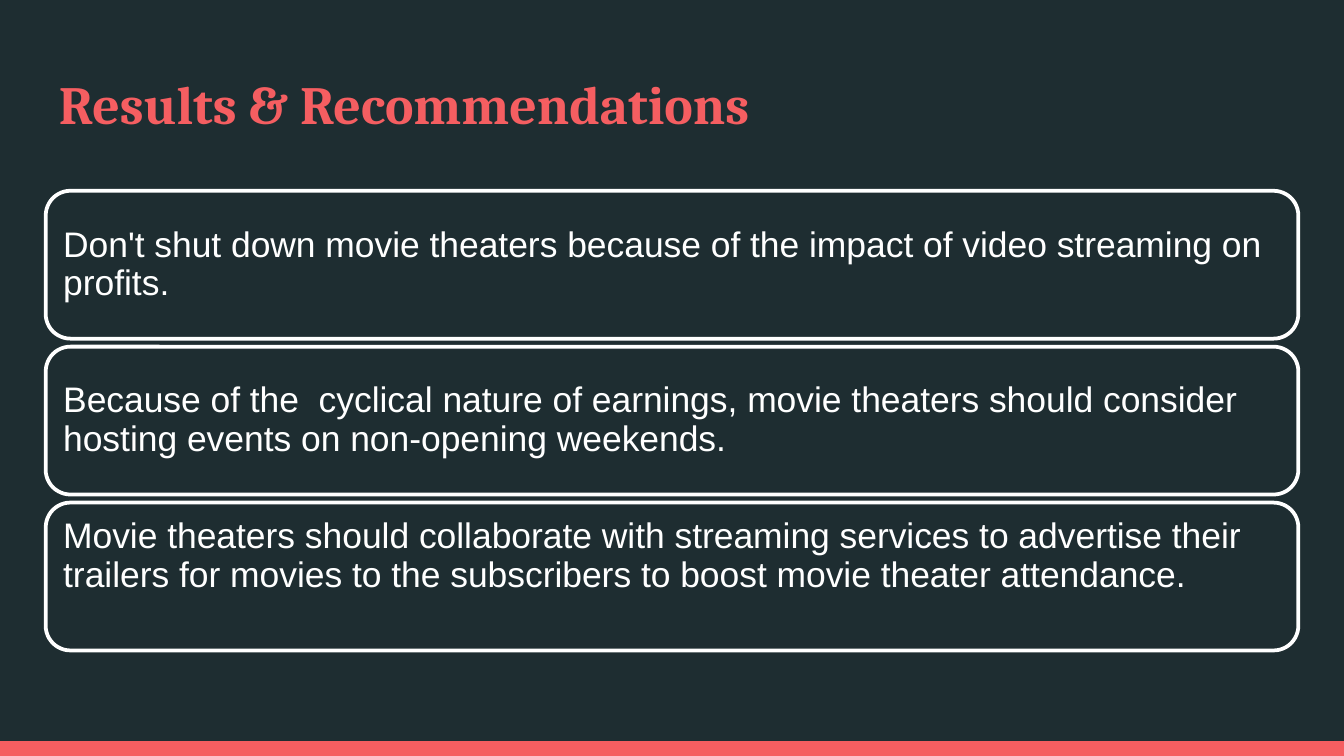
"""Build the results and recommendations slide."""
from pptx import Presentation
from pptx import util as u
from pptx.dml.color import RGBColor
from pptx.enum import shapes, text

NIGHT = RGBColor(0x1E, 0x2D, 0x31)
CORAL = RGBColor(0xF5, 0x5E, 0x61)
WHITE = RGBColor(0xFF, 0xFF, 0xFF)

WIDTH = 10
HEIGHT = WIDTH * 9 / 16
MARGIN = 0.34
CONTENT_WIDTH = WIDTH - 2 * MARGIN
FIRST_CARD, CARD_HEIGHT, CARD_GAP = 1.42, 1.1, 0.06
TEXT_INSET = 0.05
PADDING = 0.08
LIFTED_PADDING = PADDING + 0.3

RECOMMENDATIONS = [
    ("Don't shut down movie theaters because of the impact of video "
     "streaming on profits.", PADDING),
    ("Because of the  cyclical nature of earnings, movie theaters should "
     "consider hosting events on non-opening weekends.", PADDING),
    ("Movie theaters should collaborate with streaming services to advertise "
     "their trailers for movies to the subscribers to boost movie theater "
     "attendance.", LIFTED_PADDING),
]


def inches(*lengths):
    return [u.Inches(length) for length in lengths]


def add_block(slide, kind, box, fill):
    block = slide.shapes.add_shape(kind, *inches(*box))
    block.shadow.inherit = False
    block.fill.solid()
    block.fill.fore_color.rgb = fill
    block.line.fill.background()
    return block


def add_words(slide, words, box, size, font, color, padding, bold=False):
    frame = slide.shapes.add_textbox(*inches(*box)).text_frame
    frame.word_wrap = True
    frame.margin_left, frame.margin_right = inches(padding, padding)
    frame.margin_top, frame.margin_bottom = inches(padding, padding)
    frame.text = words
    style = frame.paragraphs[0].runs[0].font
    style.size, style.name, style.bold = u.Pt(size), font, bold
    style.color.rgb = color
    return frame


def add_recommendation(slide, row, words, bottom_padding):
    top = FIRST_CARD + row * (CARD_HEIGHT + CARD_GAP)
    card = add_block(slide, shapes.MSO_SHAPE.ROUNDED_RECTANGLE,
                     (MARGIN, top, CONTENT_WIDTH, CARD_HEIGHT), NIGHT)
    card.adjustments[0] = 0.167
    card.line.color.rgb = WHITE
    card.line.width = u.Pt(2)

    advice_box = (MARGIN + TEXT_INSET, top + TEXT_INSET,
                  CONTENT_WIDTH - 2 * TEXT_INSET, CARD_HEIGHT - 2 * TEXT_INSET)
    advice = add_words(slide, words, advice_box, 19, "Arial", WHITE, PADDING)
    advice.margin_bottom = u.Inches(bottom_padding)
    advice.vertical_anchor = text.MSO_ANCHOR.MIDDLE
    advice.paragraphs[0].line_spacing = 0.9


def main():
    deck = Presentation()
    deck.slide_width, deck.slide_height = inches(WIDTH, HEIGHT)
    slide = deck.slides.add_slide(deck.slide_layouts[6])
    slide.background.fill.solid()
    slide.background.fill.fore_color.rgb = NIGHT

    footer_height = 0.11
    add_block(slide, shapes.MSO_SHAPE.RECTANGLE,
              (0, HEIGHT - footer_height, WIDTH, footer_height), CORAL)
    add_words(slide, "Results & Recommendations",
              (MARGIN, 0.43, CONTENT_WIDTH, 0.68),
              28.8, "Cambria", CORAL, 0.1, bold=True)
    for row, (words, bottom_padding) in enumerate(RECOMMENDATIONS):
        add_recommendation(slide, row, words, bottom_padding)
    deck.save("out.pptx")


if __name__ == "__main__":
    main()
